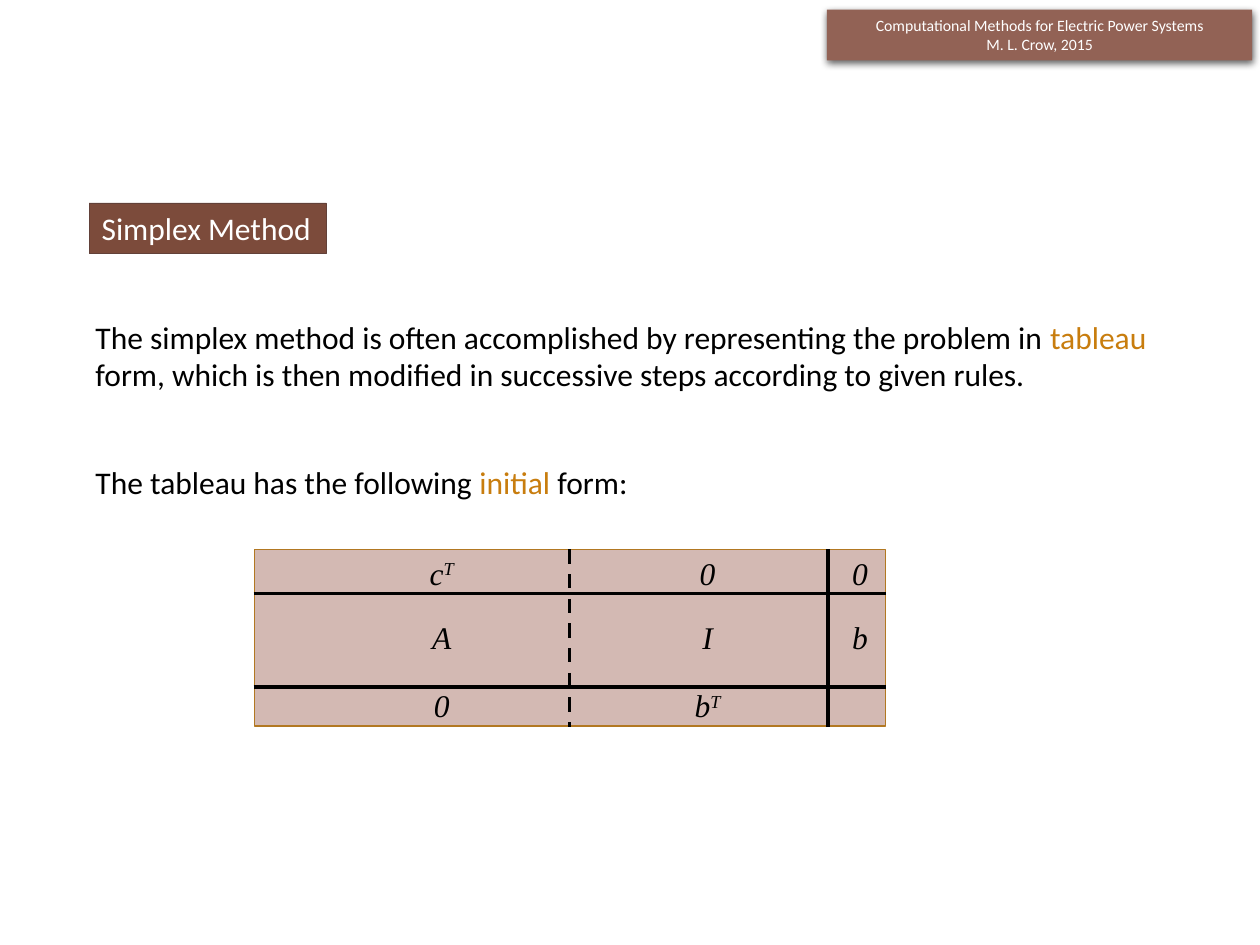
import pptx
import pptx.util
import pptx.dml.color
import pptx.enum.dml
import pptx.enum.shapes
import pptx.enum.text
import pptx.oxml
import pptx.oxml.ns
import lxml.etree

Pt = pptx.util.Pt
ALIGN = pptx.enum.text.PP_ALIGN
ANCHOR = pptx.enum.text.MSO_ANCHOR
SANS, SERIF = "Calibri", "Times New Roman"
HUES = {
    "banner": "926255", "title": "7C4B3B", "edge": "624139",
    "grid": "D3B9B3", "frame": "B27822", "accent": "C87D0E",
    "ink": "000000", "white": "FFFFFF",
}


def hue(name):
    return pptx.dml.color.RGBColor.from_string(HUES[name])


def add_run(para, text, size=18, color="ink", font=SANS, slant=False, raised=False):
    run = para.add_run()
    run.text = text
    run.font.size = Pt(size)
    run.font.name = font
    run.font.color.rgb = hue(color)
    if slant:
        run.font.italic = True
    if raised:
        run.font._element.set("baseline", "30000")


def add_rect(slide, box, fill, line=None, width=1):
    rect = slide.shapes.add_shape(
        pptx.enum.shapes.MSO_SHAPE.RECTANGLE, *map(Pt, box))
    rect.shadow.inherit = False
    rect.fill.solid()
    rect.fill.fore_color.rgb = hue(fill)
    if line:
        rect.line.color.rgb = hue(line)
        rect.line.width = Pt(width)
    else:
        rect.line.fill.background()
    return rect


def add_rule(slide, start, end, dashed=False):
    rule = slide.shapes.add_connector(
        pptx.enum.shapes.MSO_CONNECTOR.STRAIGHT, *map(Pt, start + end))
    rule.line.color.rgb = hue("ink")
    rule.line.width = Pt(2)
    if dashed:
        rule.line.dash_style = pptx.enum.dml.MSO_LINE.DASH
    lxml.etree.SubElement(rule._element.spPr, pptx.oxml.ns.qn("a:effectLst"))


def add_text(slide, box, wrap=True):
    frame = slide.shapes.add_textbox(*map(Pt, box)).text_frame
    frame.word_wrap = wrap
    return frame.paragraphs[0]


def banner(slide, box):
    rect = add_rect(slide, box, "banner")
    # Soft shadow below the banner
    glow = pptx.oxml.parse_xml(
        '<a:outerShdw xmlns:a="http://schemas.openxmlformats.org/drawingml/2006/main"'
        ' blurRad="57150" dist="19050" dir="5400000" algn="ctr" rotWithShape="0">'
        '<a:srgbClr val="000000"><a:alpha val="63000"/></a:srgbClr></a:outerShdw>')
    rect._element.spPr.find(pptx.oxml.ns.qn("a:effectLst")).append(glow)
    frame = rect.text_frame
    frame.vertical_anchor = ANCHOR.MIDDLE
    frame.margin_left = frame.margin_right = Pt(5)
    frame.margin_top = frame.margin_bottom = Pt(3)
    lines = ("Computational Methods for Electric Power Systems", "M. L. Crow, 2015")
    for i, text in enumerate(lines):
        para = frame.add_paragraph() if i else frame.paragraphs[0]
        para.alignment = ALIGN.CENTER
        add_run(para, text, 9, "white")


def heading(slide, box):
    frame = add_rect(slide, box, "title", "edge", 0.5).text_frame
    frame.word_wrap = False
    frame.vertical_anchor = ANCHOR.TOP
    para = frame.paragraphs[0]
    para.alignment = ALIGN.LEFT
    add_run(para, "Simplex Method", color="white")


def passage(slide, box, parts):
    para = add_text(slide, box)
    for text, color in parts:
        add_run(para, text, color=color)


def tableau(slide, box):
    left, top, width, height = box
    add_rect(slide, box, "grid", "frame")

    # Rules between rows, then between columns
    for y in (25.2, 78.5):
        add_rule(slide, (left - 0.5, top + y), (left + width + 0.5, top + y))
    for x, dashed in ((327.6, False), (180, True)):
        add_rule(slide, (left + x, top), (left + x, top + height + 0.5), dashed)

    # Each cell holds a symbol and its superscript, centred on its column
    cols, rows = (107, 258.9, 346), (13.4, 50.1, 89)
    cells = (
        (("c", "T"), ("0", ""), ("0", "")),
        (("A", ""), ("I", ""), ("b", "")),
        (("0", ""), ("b", "T"), None),
    )
    wide, high = 30, 29
    for y, row in zip(rows, cells):
        for x, cell in zip(cols, row):
            if not cell:
                continue
            place = (left + x - wide / 2, top + y - high / 2, wide, high)
            para = add_text(slide, place, wrap=False)
            para.alignment = ALIGN.CENTER
            base, power = cell
            add_run(para, base, font=SERIF, slant=True)
            if power:
                add_run(para, power, font=SERIF, slant=True, raised=True)


def main():
    deck = pptx.Presentation()
    deck.slide_width, deck.slide_height = Pt(720), Pt(540)
    slide = deck.slides.add_slide(deck.slide_layouts[6])

    banner(slide, (472.5, 5.5, 243, 29))
    heading(slide, (51, 116, 135.5, 29))
    passage(slide, (47.5, 178, 629, 51), (
        ("The simplex method is often accomplished by representing the problem in ", "ink"),
        ("tableau", "accent"),
        (" form, which is then modified in successive steps according to given rules.", "ink"),
    ))
    passage(slide, (47.5, 261, 330, 29), (
        ("The tableau has the following ", "ink"),
        ("initial", "accent"),
        (" form:", "ink"),
    ))
    tableau(slide, (145.5, 314, 360.5, 101))
    deck.save("out.pptx")


if __name__ == "__main__":
    main()
